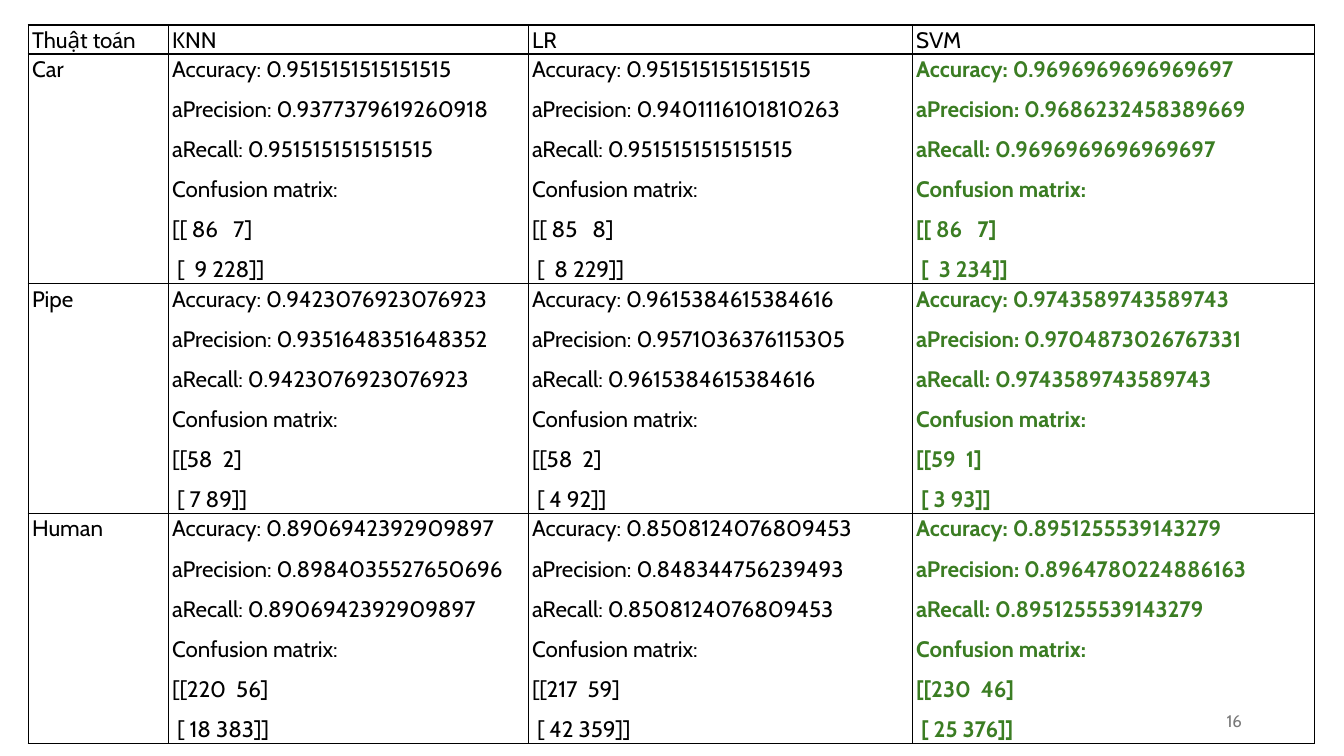
"""Build a slide comparing three classifiers on three data sets."""
from dataclasses import dataclass

from lxml import etree
from pptx import Presentation
from pptx import util as u
from pptx.dml.color import RGBColor
from pptx.enum import text
from pptx.oxml import ns


@dataclass(frozen=True)
class Theme:
    """Hold the colours, font and type sizes."""
    font: str = "Cabin"
    ink: str = "000000"
    best: str = "3B7D23"
    muted: str = "797979"
    body: int = 16
    small: int = 12
    border: int = 1


THEME = Theme()
HEADINGS = ["Thuật toán", "KNN", "LR", "SVM"]
BEST_COLUMN = HEADINGS.index("SVM")
COLUMN_WIDTHS = [3.53, 9.07, 9.68, 10.13]
HEADER_HEIGHT, RESULT_HEIGHT = 0.71, 5.79

# Each result holds accuracy (equal to recall), precision and two matrix rows.
RESULTS = {
    "Car": [
        ("0.9515151515151515", "0.9377379619260918", "[[ 86   7]", " [  9 228]]"),
        ("0.9515151515151515", "0.9401116101810263", "[[ 85   8]", " [  8 229]]"),
        ("0.9696969696969697", "0.9686232458389669", "[[ 86   7]", " [  3 234]]"),
    ],
    "Pipe": [
        ("0.9423076923076923", "0.9351648351648352", "[[58  2]", " [ 7 89]]"),
        ("0.9615384615384616", "0.9571036376115305", "[[58  2]", " [ 4 92]]"),
        ("0.9743589743589743", "0.9704873026767331", "[[59  1]", " [ 3 93]]"),
    ],
    "Human": [
        ("0.8906942392909897", "0.8984035527650696", "[[220  56]", " [ 18 383]]"),
        ("0.8508124076809453", "0.848344756239493", "[[217  59]", " [ 42 359]]"),
        ("0.8951255539143279", "0.8964780224886163", "[[230  46]", " [ 25 376]]"),
    ],
}


def apply_format(target, values):
    """Set every attribute in a dict of format values."""
    for name, value in values.items():
        setattr(target, name, value)


def write_lines(frame, lines, size, color, bold=False, **layout):
    """Write one formatted paragraph per line."""
    for index, line in enumerate(lines):
        paragraph = frame.add_paragraph() if index else frame.paragraphs[0]
        apply_format(paragraph, layout)
        run = paragraph.add_run()
        run.text = line
        apply_format(run.font, {"name": THEME.font, "size": u.Pt(size), "bold": bold})
        run.font.color.rgb = RGBColor.from_string(color)


def result_lines(accuracy, precision, first_row, second_row):
    """Return the lines that describe one classifier result."""
    return [f"Accuracy: {accuracy}", f"aPrecision: {precision}",
            f"aRecall: {accuracy}", "Confusion matrix:", first_row, second_row]


def add_borders(cell):
    """Draw a thin line on all four sides of a cell."""
    properties = cell._tc.get_or_add_tcPr()
    for index, side in enumerate(("lnL", "lnR", "lnT", "lnB")):
        line = etree.Element(ns.qn(f"a:{side}"), w=str(u.Pt(THEME.border)))
        fill = etree.SubElement(line, ns.qn("a:solidFill"))
        etree.SubElement(fill, ns.qn("a:srgbClr"), val=THEME.ink)
        properties.insert(index, line)


def fill_cell(cell, lines, best=False):
    """Format a table cell and write its lines."""
    apply_format(cell, {
        "margin_left": u.Cm(0.1), "margin_right": u.Cm(0.1),
        "margin_top": 0, "margin_bottom": 0,
        "vertical_anchor": text.MSO_ANCHOR.TOP,
    })
    cell.fill.background()
    add_borders(cell)
    write_lines(cell.text_frame, lines, THEME.body, THEME.best if best else THEME.ink,
                best, line_spacing=1.07, space_after=u.Pt(8))


def add_results_table(slide):
    """Add the table of results by data set and classifier."""
    heights = [HEADER_HEIGHT] + [RESULT_HEIGHT] * len(RESULTS)
    table = slide.shapes.add_table(
        len(heights), len(HEADINGS), u.Cm(0.71), u.Cm(0.63),
        u.Cm(sum(COLUMN_WIDTHS)), u.Cm(sum(heights))).table
    apply_format(table, {"first_row": False, "horz_banding": False})
    for column, width in zip(table.columns, COLUMN_WIDTHS):
        column.width = u.Cm(width)
    for row, height in zip(table.rows, heights):
        row.height = u.Cm(height)
    for column, heading in enumerate(HEADINGS):
        fill_cell(table.cell(0, column), [heading])
    for row, (data_set, results) in enumerate(RESULTS.items(), start=1):
        fill_cell(table.cell(row, 0), [data_set])
        for column, result in enumerate(results, start=1):
            fill_cell(table.cell(row, column), result_lines(*result),
                      column == BEST_COLUMN)


def add_page_number(slide, number):
    """Add the page number at the lower right."""
    shape = slide.shapes.add_textbox(u.Cm(23.93), u.Cm(17.65), u.Cm(7.62), u.Cm(1.02))
    apply_format(shape.text_frame, {
        "word_wrap": True, "vertical_anchor": text.MSO_ANCHOR.MIDDLE})
    write_lines(shape.text_frame, [number], THEME.small, THEME.muted,
                alignment=text.PP_ALIGN.RIGHT)


def main():
    """Build and save the presentation."""
    presentation = Presentation()
    apply_format(presentation, {"slide_width": u.Cm(33.87), "slide_height": u.Cm(19.05)})
    slide = presentation.slides.add_slide(presentation.slide_layouts[6])
    add_results_table(slide)
    add_page_number(slide, "16")
    presentation.save("out.pptx")


if __name__ == "__main__":
    main()
